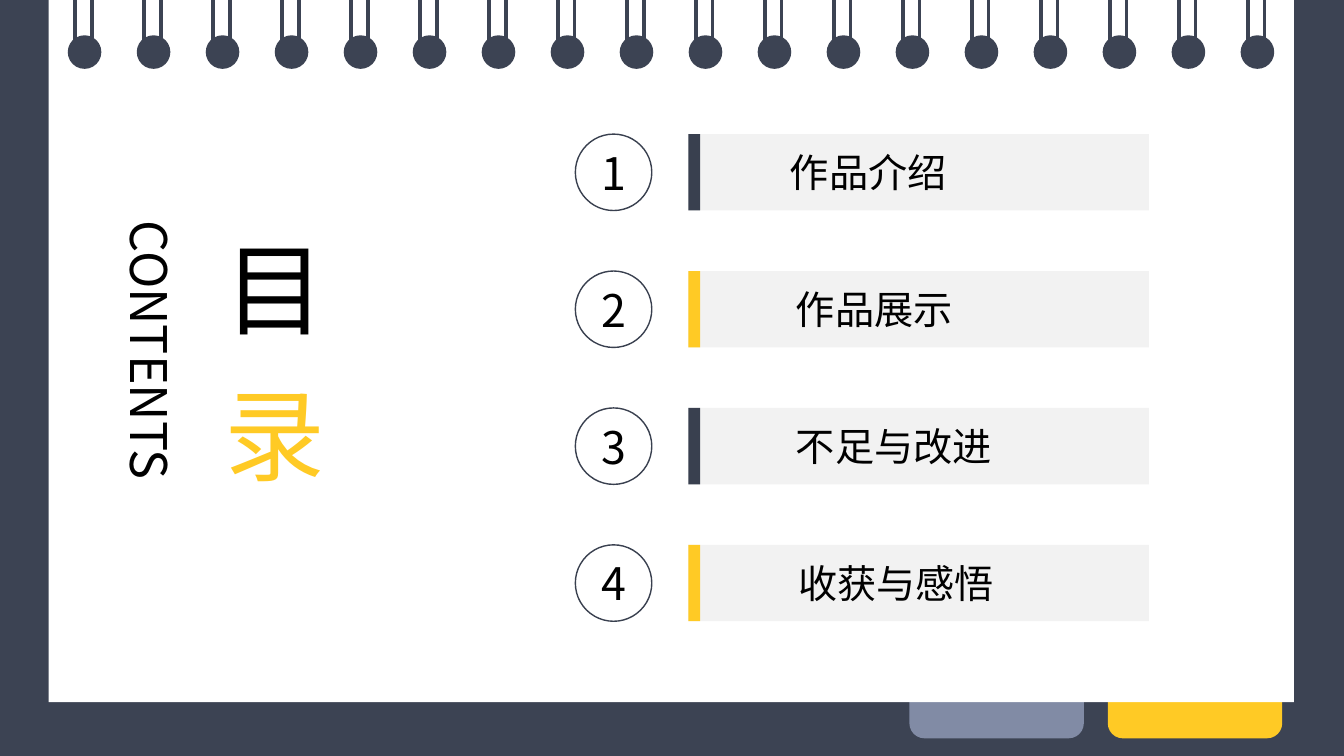
from lxml import etree
from pptx import Presentation
from pptx import util as u
from pptx.dml.color import RGBColor
from pptx.enum import shapes, text
from pptx.oxml.ns import qn

DARK, INK, GOLD, BLUE = "3C4353", "39404F", "FFCA25", "818BA5"
WHITE, PALE, BLACK = "FFFFFF", "F2F2F2", "000000"
JP, SC = "Noto Sans CJK JP", "Noto Sans CJK SC"
KIND, ALIGN = shapes.MSO_SHAPE, text.PP_ALIGN
ITEMS = [("作品介绍", 65.5), ("作品展示", 69.8), ("不足与改进", 69.8), ("收获与感悟", 71.3)]


def color(code):
    """Turn a hex string into a colour."""
    return RGBColor.from_string(code)


def shape(home, kind, box, fill=None, line=None):
    """Add a flat preset shape."""
    item = home.add_shape(kind, *map(u.Pt, box))
    item.shadow.inherit = False
    if fill:
        item.fill.solid()
        item.fill.fore_color.rgb = color(fill)
    else:
        item.fill.background()
    if line:
        item.line.color.rgb = color(line)
        item.line.width = u.Pt(1)
    else:
        item.line.fill.background()
    return item


def wire(home, x, top, end):
    """Add an upright wire."""
    item = home.add_connector(shapes.MSO_CONNECTOR.STRAIGHT, *map(u.Pt, (x, top, x, end)))
    item.line.color.rgb = color(DARK)
    item.line.width = u.Pt(2.5)
    etree.SubElement(item._element.spPr, qn("a:effectLst"))


def write(item, words, size, face, tint=BLACK, align=ALIGN.CENTER):
    """Write one run into a shape."""
    para = item.text_frame.paragraphs[0]
    para.alignment = align
    run = para.add_run()
    run.text = words
    run.font.size = u.Pt(size)
    run.font.color.rgb = color(tint)
    run.font.name = face
    etree.SubElement(run.font._element, qn("a:ea"), typeface=face)


def label(home, box, words, size, face, tint=BLACK, align=ALIGN.CENTER, turn=None):
    """Add a text box that grows with its text."""
    item = home.add_textbox(*map(u.Pt, box))
    frame = item.text_frame
    frame.word_wrap = True
    frame.auto_size = text.MSO_AUTO_SIZE.SHAPE_TO_FIT_TEXT
    if turn:
        frame._txBody.bodyPr.set("vert", turn)
    write(item, words, size, face, tint, align)


def desk(home, box):
    """Draw the dark desk and the two page tabs."""
    x, y, w, h = box
    shape(home, KIND.RECTANGLE, box, DARK)
    for left, tint in ((791.3, GOLD), (649.6, BLUE)):
        shape(home, KIND.ROUNDED_RECTANGLE, (x + left, y + 462.6, 124.6, 64.8), tint)


def pad(home, box):
    """Draw the white page with its row of rings."""
    x, y, w, h = box
    group = home.add_group_shape().shapes
    shape(group, KIND.RECTANGLE, box, WHITE)
    for i in range(18):
        left = x + 13.6 + i * 49.28
        shape(group, KIND.OVAL, (left, y + 25.2, 24, 24), DARK)
        for gap in (5.3, 17.2):
            wire(group, left + gap, y - 1.5, y + 36.7)


def title(home, box):
    """Place the upright heading and the two large signs."""
    x, y, w, h = box
    label(home, (x, y, 58.3, h), "CONTENTS", 36, JP, align=ALIGN.JUSTIFY, turn="eaVert")
    for i, (sign, tint) in enumerate((("目", BLACK), ("录", GOLD))):
        label(home, (x + w - 98.6, y + 7.9 + i * 104.4, 98.6, 94.3), sign, 72, JP, tint)


def entry(home, box, num, words, inset):
    """Place one numbered line of the contents."""
    x, y, w, h = box
    ring = shape(home, KIND.OVAL, (x, y, h, h), line=INK)
    ring.text_frame.vertical_anchor = text.MSO_ANCHOR.MIDDLE
    write(ring, str(num), 32, SC)
    bar = x + 80.7
    group = home.add_group_shape().shapes
    shape(group, KIND.RECTANGLE, (bar, y, x + w - bar, h), PALE)
    shape(group, KIND.RECTANGLE, (bar, y, 8.4, h), INK if num % 2 else GOLD)
    label(group, (bar + inset, y + 6.5, 197.3, 41.2), words, 28, SC, align=ALIGN.JUSTIFY)


def main():
    """Build the contents slide."""
    deck = Presentation()
    deck.slide_width, deck.slide_height = u.Pt(960), u.Pt(540)
    home = deck.slides.add_slide(deck.slide_layouts[6]).shapes
    desk(home, (0, 0, 960, 540))
    pad(home, (34.8, 0, 889.4, 501.6))
    title(home, (74.2, 150.5, 171.3, 225.4))
    for i, (words, inset) in enumerate(ITEMS):
        entry(home, (411, 95.8 + i * 97.8, 409.7, 54.6), i + 1, words, inset)
    deck.save("out.pptx")


if __name__ == "__main__":
    main()
